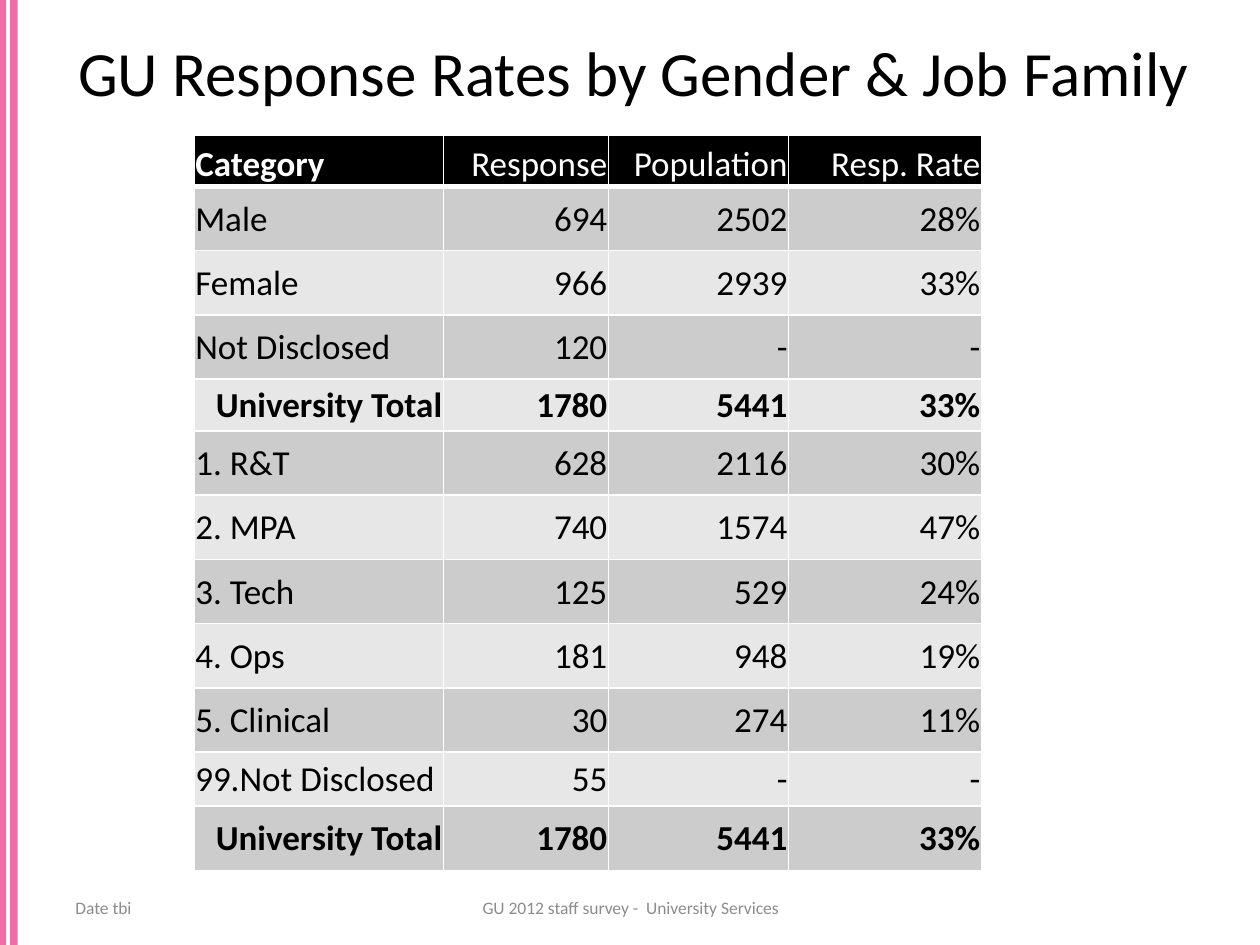
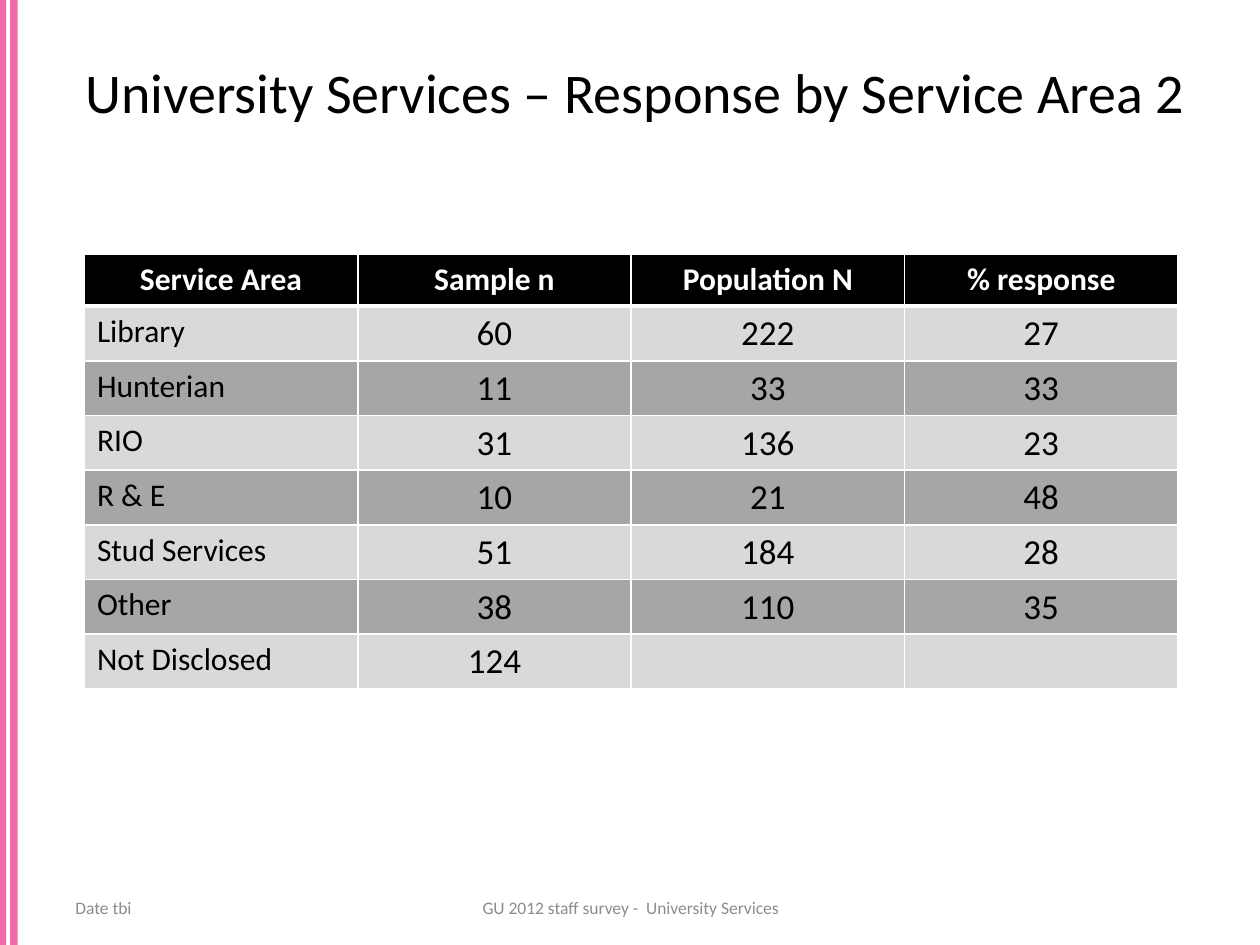
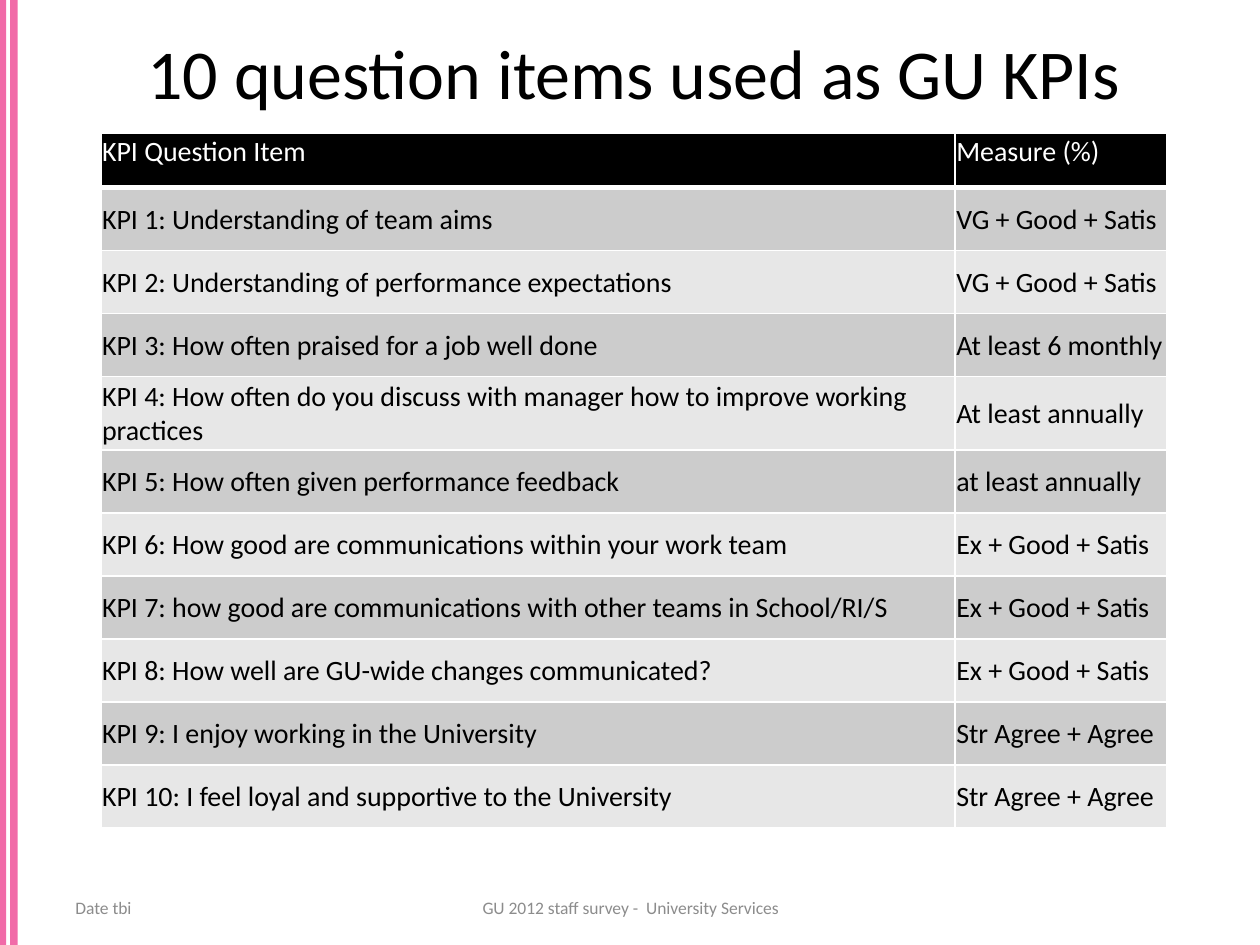
from lxml import etree
from pptx import Presentation
from pptx.dml.color import RGBColor
from pptx.enum.shapes import MSO_SHAPE
from pptx.enum.text import MSO_ANCHOR, PP_ALIGN
from pptx.oxml.ns import qn
from pptx.util import Inches, Pt

LEFT, CENTER, RIGHT = PP_ALIGN.LEFT, PP_ALIGN.CENTER, PP_ALIGN.RIGHT
TOP, MIDDLE, BOTTOM = MSO_ANCHOR.TOP, MSO_ANCHOR.MIDDLE, MSO_ANCHOR.BOTTOM
RECTANGLE = MSO_SHAPE.RECTANGLE
TITLE_ONLY = 5

FONT = "Calibri"
PINK, BLACK, WHITE, GREY = "F16BA8", "000000", "FFFFFF", "8C8C8C"
SOFT_BANDS = ("CCCCCC", "E7E7E7")
STRONG_BANDS = ("D9D9D9", "A6A6A6")
TIGHT_MARGINS = (0.01, 0.01, 0.01, 0)
NORMAL_MARGINS = (0.1, 0.05, 0.1, 0.05)

TOTAL = "University Total"
RESPONSE_RATES = [
    ("Category", "Response", "Population", "Resp. Rate"),
    ("Male", "694", "2502", "28%"),
    ("Female", "966", "2939", "33%"),
    ("Not Disclosed", "120", "-", "-"),
    (TOTAL, "1780", "5441", "33%"),
    ("1. R&T", "628", "2116", "30%"),
    ("2. MPA", "740", "1574", "47%"),
    ("3. Tech", "125", "529", "24%"),
    ("4. Ops", "181", "948", "19%"),
    ("5. Clinical", "30", "274", "11%"),
    ("99.Not Disclosed", "55", "-", "-"),
    (TOTAL, "1780", "5441", "33%"),
]
SERVICE_AREAS = [
    ("Service Area", "Sample n", "Population N", "% response"),
    ("Library", "60", "222", "27"),
    ("Hunterian", "11", "33", "33"),
    ("RIO", "31", "136", "23"),
    ("R & E", "10", "21", "48"),
    ("Stud Services", "51", "184", "28"),
    ("Other", "38", "110", "35"),
    ("Not Disclosed", "124", "", ""),
]
KPI_ITEMS = [
    ("KPI Question Item", "Measure (%)"),
    ("KPI 1: Understanding of team aims", "VG + Good + Satis"),
    ("KPI 2: Understanding of performance expectations", "VG + Good + Satis"),
    ("KPI 3: How often praised for a job well done", "At least 6 monthly"),
    ("KPI 4: How often do you discuss with manager how to improve working practices",
     "At least annually"),
    ("KPI 5: How often given performance feedback", "at least annually"),
    ("KPI 6: How good are communications within your work team", "Ex + Good + Satis"),
    ("KPI 7: how good are communications with other teams in School/RI/S",
     "Ex + Good + Satis"),
    ("KPI 8: How well are GU-wide changes communicated?", "Ex + Good + Satis"),
    ("KPI 9: I enjoy working in the University", "Str Agree + Agree"),
    ("KPI 10: I feel loyal and supportive to the University", "Str Agree + Agree"),
]


def rgb(color):
    return RGBColor.from_string(color)


def write(frame, text, size, color=BLACK, bold=False, align=LEFT):
    para = frame.paragraphs[0]
    para.alignment = align
    span = para.add_run()
    span.text = text
    span.font.name = FONT
    span.font.size = Pt(size)
    span.font.bold = bold
    span.font.color.rgb = rgb(color)


def add_band(page, left):
    band = page.shapes.add_shape(
        RECTANGLE, Inches(left), 0, Inches(0.06), Inches(7.5))
    band.shadow.inherit = False
    band.fill.solid()
    band.fill.fore_color.rgb = rgb(PINK)
    band.line.fill.background()


def add_footer(page, text, left, width, align):
    box = page.shapes.add_textbox(
        Inches(left), Inches(7.06), Inches(width), Inches(0.29))
    frame = box.text_frame
    frame.word_wrap = True
    frame.vertical_anchor = MIDDLE
    write(frame, text, 10, GREY, align=align)


def add_page(deck, title, size, left=0.5, top=0.13, width=9.06):
    """Add a slide with the shared bands, title style and footers."""
    page = deck.slides.add_slide(deck.slide_layouts[TITLE_ONLY])
    for band_left in (0.08, -0.01):
        add_band(page, band_left)
    heading = page.shapes.title
    heading.left, heading.top = Inches(left), Inches(top)
    heading.width, heading.height = Inches(width), Inches(0.87)
    heading.text_frame.word_wrap = True
    heading.text_frame.vertical_anchor = MIDDLE
    write(heading.text_frame, title, size, align=CENTER)
    add_footer(page, "Date tbi", 0.5, 2.33, LEFT)
    add_footer(page, "GU 2012 staff survey -  University Services", 3.42, 3.17, CENTER)
    return page


def add_borders(cell, is_header):
    """Draw white cell borders, with a heavier rule below the header."""
    widths = {"a:lnL": 1, "a:lnR": 1}
    if is_header:
        widths["a:lnT"] = 1
    widths["a:lnB"] = 3 if is_header else 1
    properties = cell._tc.get_or_add_tcPr()
    for tag, width in widths.items():
        line = etree.SubElement(properties, qn(tag), w=str(Pt(width)))
        fill = etree.SubElement(line, qn("a:solidFill"))
        etree.SubElement(fill, qn("a:srgbClr"), val=WHITE)


def add_grid(page, rows, left, top, column_widths, row_heights, bands, text_format,
             margins=TIGHT_MARGINS, header_anchor=TOP, body_anchor=MIDDLE):
    """Add a table; text_format(row, column, label) gives each cell's text format."""
    grid = page.shapes.add_table(
        len(rows), len(column_widths), Inches(left), Inches(top),
        Inches(sum(column_widths)), Inches(sum(row_heights))).table
    grid.first_row = grid.horz_banding = False
    for column, width in zip(grid.columns, column_widths):
        column.width = Inches(width)
    for row, height in zip(grid.rows, row_heights):
        row.height = Inches(height)
    for row, texts in enumerate(rows):
        is_header = row == 0
        for column, text in enumerate(texts):
            cell = grid.cell(row, column)
            add_borders(cell, is_header)
            cell.fill.solid()
            cell.fill.fore_color.rgb = rgb(BLACK if is_header else bands[(row - 1) % 2])
            cell.margin_left, cell.margin_top, cell.margin_right, cell.margin_bottom = (
                Inches(margin) for margin in margins)
            cell.vertical_anchor = header_anchor if is_header else body_anchor
            if text:
                write(cell.text_frame, text, color=WHITE if is_header else BLACK,
                      **text_format(row, column, texts[0]))


def rate_format(row, column, label):
    is_total = label == TOTAL
    return {"size": 20,
            "bold": is_total or row == column == 0,
            "align": RIGHT if column or is_total else LEFT}


def area_format(row, column, label):
    is_header = row == 0
    return {"size": 20 if column and not is_header else 18,
            "bold": is_header,
            "align": CENTER if column or is_header else LEFT}


def kpi_format(row, column, label):
    return {"size": 16}


def main():
    deck = Presentation()
    deck.slide_width, deck.slide_height = Inches(10), Inches(7.5)

    page = add_page(deck, "GU Response Rates by Gender & Job Family", 36)
    rate_heights = [0.41] + [0.51] * 3 + [0.41] + [0.51] * 5 + [0.43, 0.51]
    add_grid(page, RESPONSE_RATES, 1.54, 1.07, [1.98, 1.31, 1.43, 1.53], rate_heights,
             SOFT_BANDS, rate_format, header_anchor=BOTTOM)

    page = add_page(deck, "University Services – Response by Service Area 2", 32,
                    left=0.2, top=0.29, width=9.69)
    add_grid(page, SERVICE_AREAS, 0.67, 2.02, [2.17] * 4, [0.41] * len(SERVICE_AREAS),
             STRONG_BANDS, area_format, margins=NORMAL_MARGINS, body_anchor=TOP)

    page = add_page(deck, "10 question items used as GU KPIs", 40)
    kpi_heights = [0.43] + [0.5] * 3 + [0.58] + [0.5] * 6
    add_grid(page, KPI_ITEMS, 0.8, 1.06, [6.78, 1.68], kpi_heights,
             SOFT_BANDS, kpi_format)

    deck.save("out.pptx")


if __name__ == "__main__":
    main()
